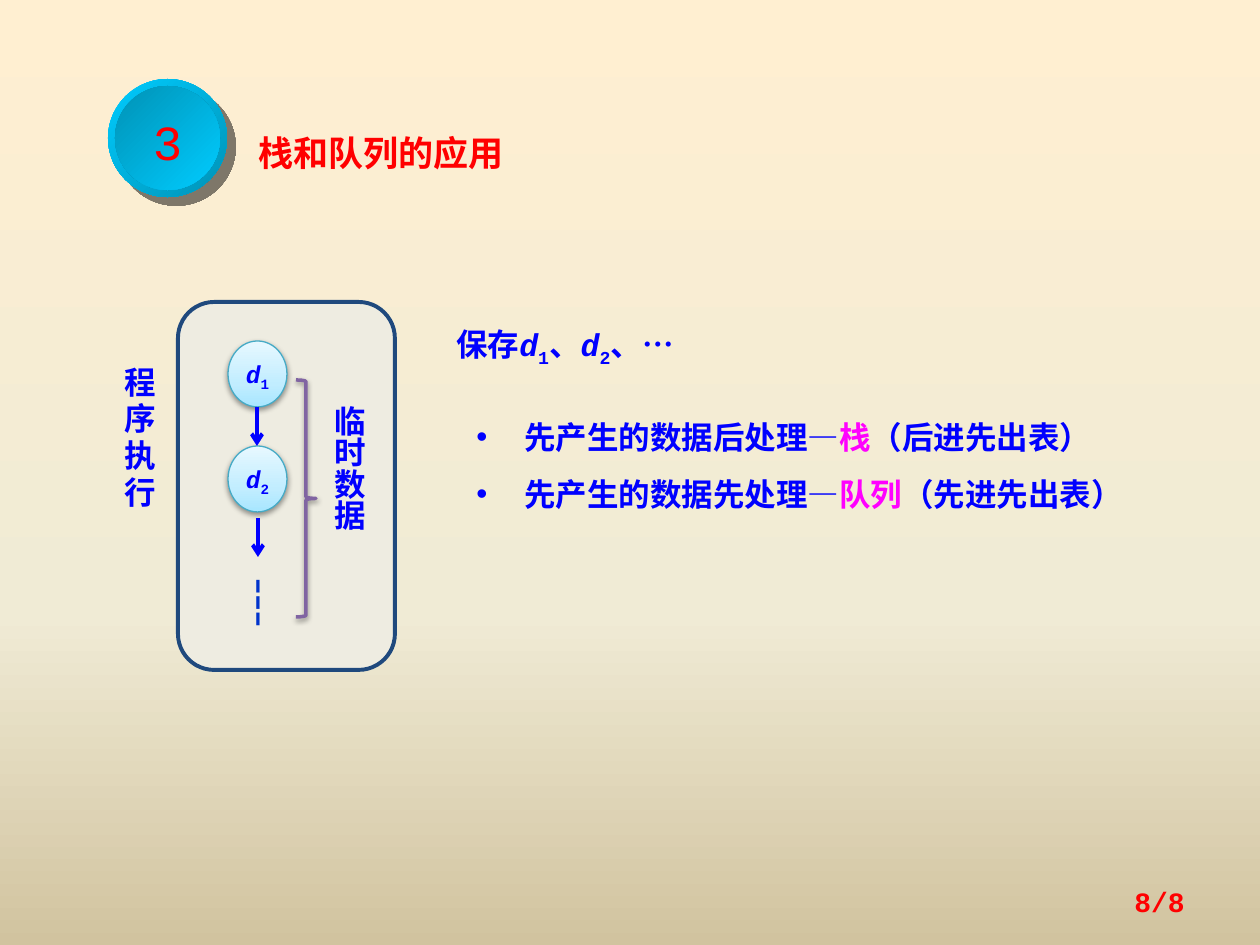
from lxml import etree
from pptx import Presentation
from pptx.dml.color import RGBColor
from pptx.enum import shapes, text
from pptx.oxml.ns import qn
from pptx.util import Emu, Pt

PX = 914400 / 126
COLORS = {
    "red": "FF0000", "blue": "0000FF", "magenta": "FF00FF", "dash": "0033CC",
    "panel": "EEECE1", "navy": "1F497D", "cyan": "00CCFF", "teal": "0092B6",
    "node_edge": "46AAC5", "purple": "8064A2", "black": "000000", "soft_black": "020202",
    "node_low": "A7E6FF", "node_mid": "C1EDFF", "node_high": "E7F8FF",
    "sky": "FFEFD1", "cream": "F0EBD5", "sand": "D1C39F",
}
KIND = shapes.MSO_SHAPE
CENTER = text.PP_ALIGN.CENTER
MIDDLE = text.MSO_ANCHOR.MIDDLE
GROW = {"word_wrap": True, "auto_size": text.MSO_AUTO_SIZE.SHAPE_TO_FIT_TEXT}
CJK = "Noto Sans CJK SC"


def decorate(root, fill=None, stops=None, angle=0, shadow=None):
    if stops:
        fill.gradient()
        gradient = root.xpath(".//a:gradFill")[0]
        for child in list(gradient):
            gradient.remove(child)
        stop_list = etree.SubElement(gradient, qn("a:gsLst"))
        for position, color in stops:
            stop = etree.SubElement(stop_list, qn("a:gs"), pos=str(position * 1000))
            etree.SubElement(stop, qn("a:srgbClr"), val=COLORS[color])
        etree.SubElement(gradient, qn("a:lin"), ang=str(angle * 60000), scaled="0")
    if shadow:
        color, alpha, blur, distance, direction = shadow
        effects = root.xpath(".//a:effectLst")[0]
        outer = etree.SubElement(
            effects, qn("a:outerShdw"), blurRad=str(Pt(blur)), dist=str(Pt(distance)),
            dir=str(direction * 60000), algn="ctr", rotWithShape="0")
        tint = etree.SubElement(outer, qn("a:srgbClr"), val=COLORS[color])
        etree.SubElement(tint, qn("a:alpha"), val=str(alpha * 1000))


def write(box, paragraphs, size, color="blue", bold=True, spacing=1.1, align=None,
          frame=GROW, bullet=False, vertical=False, tracking=0):
    for name, value in frame.items():
        setattr(box.text_frame, name, value)
    if vertical:
        box.text_frame._txBody.bodyPr.set("vert", "eaVert")
    for index, spans in enumerate(paragraphs):
        para = box.text_frame.paragraphs[0] if index == 0 else box.text_frame.add_paragraph()
        para.line_spacing = spacing
        para.alignment = align
        if bullet:
            props = para._p.get_or_add_pPr()
            props.set("marL", str(Emu(round(48 * PX))))
            props.set("indent", str(-Emu(round(48 * PX))))
            etree.SubElement(props, qn("a:buFont"), typeface="Arial")
            etree.SubElement(props, qn("a:buChar"), char="•")
        for content, changes in spans:
            span = para.add_run()
            span.text = content
            style = {"size": Pt(size), "bold": bold, "name": "Courier New", "italic": False}
            style.update({key: value for key, value in changes.items() if key in style})
            for name, value in style.items():
                setattr(span.font, name, value)
            span.font.color.rgb = RGBColor.from_string(COLORS[changes.get("color", color)])
            props = span._r.get_or_add_rPr()
            etree.SubElement(props, qn("a:ea"), typeface=CJK)
            if "baseline" in changes:
                props.set("baseline", str(changes["baseline"] * 1000))
            if tracking:
                props.set("spc", str(tracking * 100))


deck = Presentation()
deck.slide_width, deck.slide_height = Emu(round(1260 * PX)), Emu(round(945 * PX))
page = deck.slides.add_slide(deck.slide_layouts[6])
decorate(page._element, page.background.fill,
         [(0, "sky"), (65, "cream"), (100, "sand")], 90)

node_stops = [(0, "node_low"), (35, "node_mid"), (100, "node_high")]
node_shadow = ("black", 38, 3.1, 1.6, 90)
shape_specs = {
    "panel": (KIND.ROUNDED_RECTANGLE, (178, 302, 217, 368), "panel", 0, ("navy", 2.25), None),
    "rim": (KIND.OVAL, (108, 79, 119, 118), [(0, "cyan"), (100, "teal")], 45, None,
            ("soft_black", 50, 0, 7.1, 45)),
    "badge": (KIND.OVAL, (115, 86, 105, 104), [(0, "teal"), (100, "cyan")], 45, None, None),
    "d1": (KIND.OVAL, (228, 341, 59, 66), node_stops, 270, ("node_edge", 0.75), node_shadow),
    "d2": (KIND.OVAL, (228, 446, 59, 66), node_stops, 270, ("node_edge", 0.75), node_shadow),
    "brace": (KIND.RIGHT_BRACE, (296, 380, 20, 237), None, 0, ("purple", 2), node_shadow),
}
drawn = {}
for name, (kind, bounds, paint, angle, edge, shadow) in shape_specs.items():
    shape = page.shapes.add_shape(kind, *[Emu(round(n * PX)) for n in bounds])
    shape.shadow.inherit = False
    if isinstance(paint, str):
        shape.fill.solid()
        shape.fill.fore_color.rgb = RGBColor.from_string(COLORS[paint])
    elif paint is None:
        shape.fill.background()
    if edge:
        shape.line.color.rgb = RGBColor.from_string(COLORS[edge[0]])
        shape.line.width = Pt(edge[1])
    else:
        shape.line.fill.background()
    decorate(shape._element.spPr, shape.fill, paint if isinstance(paint, list) else None,
             angle, shadow)
    drawn[name] = shape

write(drawn["badge"], [[("3", {})]], 28, "red", False, align=CENTER,
      frame={"word_wrap": False, "vertical_anchor": MIDDLE})
node_frame = {"margin_left": 0, "margin_top": 0, "margin_right": 0, "margin_bottom": 0,
              "vertical_anchor": MIDDLE, "word_wrap": True}
for digit in "12":
    write(drawn["d" + digit], [[("d", {"italic": True}), (digit, {"baseline": -25})]], 14,
          align=CENTER, frame=node_frame)

for x, top, bottom in [(257, 407, 446), (258, 518, 557)]:
    arrow = page.shapes.add_connector(
        shapes.MSO_CONNECTOR.STRAIGHT, *[Emu(round(n * PX)) for n in (x, top, x, bottom)])
    arrow.line.color.rgb = RGBColor.from_string(COLORS["blue"])
    arrow.line.width = Pt(2.25)
    etree.SubElement(arrow.line._get_or_add_ln(), qn("a:tailEnd"), type="arrow")
    etree.SubElement(arrow._element.spPr, qn("a:effectLst"))

saved_data = [
    ("保存", {}), ("d", {"italic": True}), ("1", {"baseline": -25}), ("、", {}),
    ("d", {"italic": True}), ("2", {"baseline": -25}), ("、", {}), ("…", {"name": CJK}),
]
rules = [
    [("先产生的数据后处理―", {}), ("栈", {"color": "magenta"}), ("（后进先出表）", {})],
    [("先产生的数据先处理―", {}), ("队列", {"color": "magenta"}), ("（先进先出表）", {})],
]
text_specs = [
    ((246, 121, 384, 57), [[("栈和队列的应用", {})]], 20, {"color": "red"}),
    ((233, 564, 49, 69), [[("┆", {})]], 24, {"color": "dash", "align": CENTER}),
    ((106, 354, 62, 237), [[("程序执行", {"name": CJK})]], 18,
     {"align": CENTER, "vertical": True, "tracking": 3}),
    ((444, 315, 403, 54), [saved_data], 18, {}),
    ((464, 393, 708, 121), rules, 18, {"spacing": 1.5, "bullet": True}),
    ((314, 393, 64, 197), [[("临时数据", {})]], 18, {"align": CENTER, "vertical": True}),
    ((903, 876, 294, 50), [[("8/8", {})]], 16,
     {"color": "red", "spacing": 1.0, "align": text.PP_ALIGN.RIGHT,
      "frame": {"word_wrap": True, "vertical_anchor": MIDDLE}}),
]
for bounds, paragraphs, size, options in text_specs:
    box = page.shapes.add_textbox(*[Emu(round(n * PX)) for n in bounds])
    write(box, paragraphs, size, **options)

deck.save("out.pptx")
